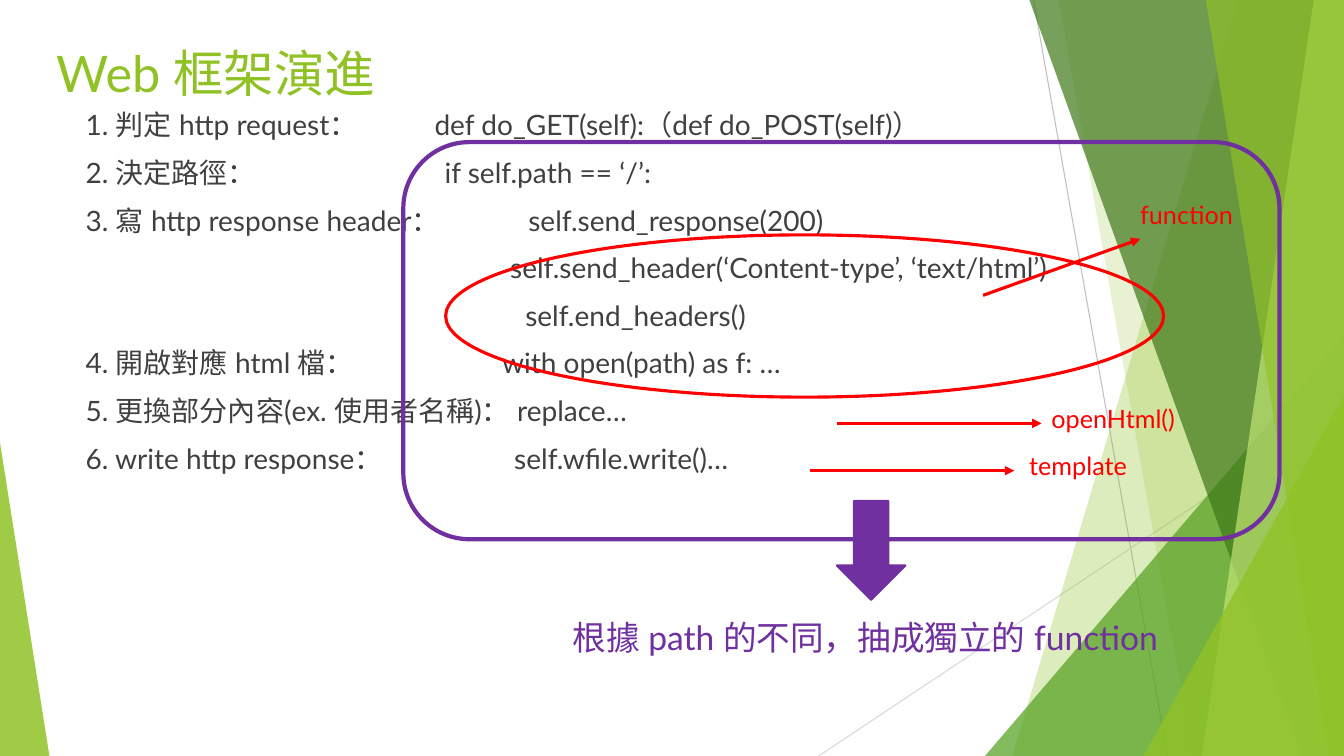
from pptx import Presentation
from pptx.dml.color import RGBColor
from pptx.enum.shapes import MSO_CONNECTOR as Connector, MSO_SHAPE as Shape
from pptx.oxml.ns import qn
from pptx.util import Inches, Pt
from lxml.etree import SubElement

FONT = "Lato"
GREEN, RED, PURPLE, GREY = "90C226", "FF0000", "7030A0", "404040"
WIDTH, HEIGHT = 13.33, 7.5
TEXT_LEFT = 0.85

FACETS = [
    ([(12.28, 0), (WIDTH, 0), (WIDTH, HEIGHT), (10.04, HEIGHT)], GREEN, 30),
    ([(10.5, 0), (WIDTH, 0), (WIDTH, HEIGHT), (11.83, HEIGHT)], GREEN, 20),
    ((9.77, 3.33, 3.56, 4.17, 1), "54A021", 72),
    ([(10.21, 0), (WIDTH, 0), (WIDTH, HEIGHT), (12.91, HEIGHT)], "3F7819", 70),
    ([(13.03, 0), (WIDTH, 0), (WIDTH, HEIGHT), (11.92, HEIGHT)], "C0E474", 70),
    ([(11.96, 0), (WIDTH, 0), (WIDTH, HEIGHT), (13.18, HEIGHT)], GREEN, 65),
    ((11.34, 3.93, 1.99, 3.57, 1), GREEN, 80),
    ((0, 4.39, 0.49, 3.11, 0), GREEN, 85),
]

STEPS = [
    ("1. 判定 http request：\tdef do_GET(self):（def do_POST(self)）", 4.31),
    ("2. 決定路徑：\tif self.path == ‘/’:", 4.41),
    ("3. 寫 http response header：\tself.send_response(200)", 5.24),
    ("\tself.send_header(‘Content-type’, ‘text/html’)", 5.06),
    ("\tself.end_headers()", 5.21),
    ("4. 開啟對應 html 檔：\twith open(path) as f: …", 4.98),
    ("5. 更換部分內容(ex. 使用者名稱)： replace…", None),
    ("6. write http response：\tself.wfile.write()…", 5.1),
]

CALLOUTS = [
    ("function", (11.21, 1.93), (9.75, 2.93), (11.31, 2.37)),
    ("openHtml()", (10.33, 3.95), (8.3, 4.2), (10.33, 4.2)),
    ("template", (10.11, 4.42), (8.03, 4.67), (10.06, 4.67)),
]


def color(value):
    """Turn a hex string into a colour."""
    return RGBColor.from_string(value)


def paint(shape, fill=None, line=None, weight=1, alpha=100):
    """Set the fill, its opacity and the outline of a shape."""
    shape.shadow.inherit = False
    if fill:
        shape.fill.solid()
        shape.fill.fore_color.rgb = color(fill)
        if alpha < 100:
            tint = shape.fill._xPr.find(qn("a:solidFill"))[0]
            SubElement(tint, qn("a:alpha"), val=str(alpha * 1000))
    else:
        shape.fill.background()
    if line:
        shape.line.color.rgb = color(line)
        shape.line.width = Pt(weight)
    else:
        shape.line.fill.background()


def add_facet(page, outline, fill, alpha):
    """Draw a translucent polygon or right triangle of the backdrop."""
    if isinstance(outline, tuple):
        *frame, apex = outline
        facet = page.shapes.add_shape(Shape.ISOSCELES_TRIANGLE, *map(Inches, frame))
        facet.adjustments[0] = apex
    else:
        points = [(Inches(x), Inches(y)) for x, y in outline]
        builder = page.shapes.build_freeform(*points[0])
        builder.add_line_segments(points[1:], close=True)
        facet = builder.convert_to_shape()
    paint(facet, fill, alpha=alpha)


def add_line(page, start, end, line, weight, arrow=False):
    """Draw a straight line, with an arrowhead if wanted."""
    connector = page.shapes.add_connector(
        Connector.STRAIGHT, *map(Inches, start + end))
    connector.line.color.rgb = color(line)
    connector.line.width = Pt(weight)
    if arrow:
        SubElement(connector.line._get_or_add_ln(), qn("a:tailEnd"), type="triangle")
    SubElement(connector._element.spPr, qn("a:effectLst"))


def add_outline(page, kind, frame, line, weight, fill=None):
    """Draw a preset shape with a coloured outline."""
    shape = page.shapes.add_shape(kind, *map(Inches, frame))
    paint(shape, fill, line, weight)


def add_text(page, frame, text, size, ink):
    """Add a wrapped text box and return it."""
    box = page.shapes.add_textbox(*map(Inches, frame))
    box.text_frame.word_wrap = True
    box.text_frame.text = text
    for para in box.text_frame.paragraphs:
        for span in para.runs:
            span.font.size = Pt(size)
            span.font.name = FONT
            span.font.color.rgb = color(ink)
            SubElement(span.font._element, qn("a:ea"), typeface=FONT)
    return box


def add_steps(page):
    """List the steps, each with its code at a tab stop."""
    frame = (0.25, 1.02, 12.59, 5.05)
    box = add_text(page, frame, "\n".join(text for text, _ in STEPS), 20, GREY)
    box.text_frame.margin_left = Inches(TEXT_LEFT - frame[0])
    for para, (_, code_left) in zip(box.text_frame.paragraphs, STEPS):
        para.space_before = Pt(10)
        if code_left:
            stops = SubElement(para._p.get_or_add_pPr(), qn("a:tabLst"))
            stop = Inches(code_left - TEXT_LEFT)
            SubElement(stops, qn("a:tab"), pos=str(stop), algn="l")


def main():
    """Build the slide and save it."""
    deck = Presentation()
    deck.slide_width, deck.slide_height = Inches(WIDTH), Inches(HEIGHT)
    page = deck.slides.add_slide(deck.slide_layouts[6])
    add_line(page, (10.25, 0), (11.58, HEIGHT), "BFBFBF", 0.75)
    add_line(page, (WIDTH, 4.03), (8.12, HEIGHT), "D9D9D9", 0.75)
    for facet in FACETS:
        add_facet(page, *facet)
    add_text(page, (0.46, 0.37, 9.4, 1.44), "Web 框架演進", 36, GREEN)
    add_steps(page)
    add_outline(page, Shape.OVAL, (4.42, 2.33, 7.12, 1.61), RED, 2.25)
    for label, corner, start, end in CALLOUTS:
        add_line(page, start, end, RED, 2.25, arrow=True)
        add_text(page, corner + (1.96, 0.4), label, 18, RED)
    add_outline(page, Shape.ROUNDED_RECTANGLE, (4, 1.41, 8.69, 3.94), PURPLE, 3)
    add_outline(page, Shape.DOWN_ARROW, (8.3, 4.97, 0.68, 0.98), PURPLE, 1.5, PURPLE)
    add_text(page, (5.58, 6.07, 6.72, 0.5),
             "根據 path 的不同，抽成獨立的 function", 24, PURPLE)
    deck.save("out.pptx")


if __name__ == "__main__":
    main()
